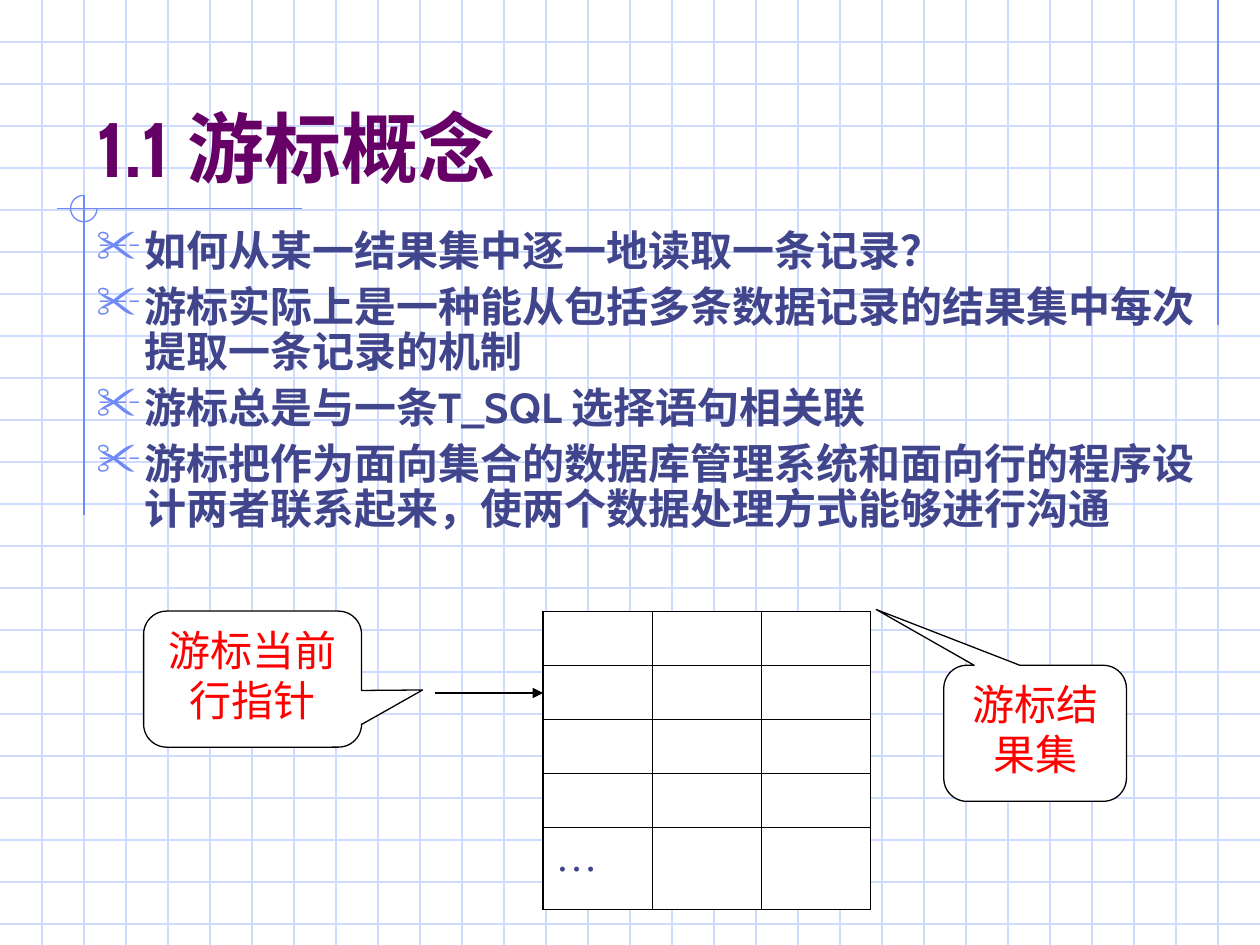
import pptx
import pptx.util
import pptx.dml.color
import pptx.enum.dml
import pptx.enum.lang
import pptx.enum.shapes
import pptx.enum.text
import pptx.oxml
import pptx.oxml.ns
from lxml import etree

RGB = pptx.dml.color.RGBColor
WHITE = RGB(0xFF, 0xFF, 0xFF)
BLACK = RGB(0x00, 0x00, 0x00)
PALE_BLUE = RGB(0xCF, 0xDB, 0xFD)
BLUE = RGB(0x6F, 0x89, 0xF7)
INDIGO = RGB(0x40, 0x45, 0x8C)
PURPLE = RGB(0x66, 0x00, 0x66)
RED = RGB(0xFF, 0x00, 0x00)

COLUMNS, ROWS = 30, 22.5
TITLE = dict(size=44, name="Cabin", bold=True, color=PURPLE)
BODY = dict(size=24, name="Cabin", bold=True, color=INDIGO)
CELL = dict(size=24, name="Times New Roman", color=INDIGO)
NOTE = dict(size=24, name="Times New Roman", color=RED)

POINTS = [
    "如何从某一结果集中逐一地读取一条记录？",
    "游标实际上是一种能从包括多条数据记录的结果集中每次提取一条记录的机制",
    "游标总是与一条T_SQL 选择语句相关联",
    "游标把作为面向集合的数据库管理系统和面向行的程序设计两者联系起来，使两个数据处理方式能够进行沟通",
]


class GridSlide:
    """Draws styled elements on a slide measured in columns and rows of a third of an inch."""

    def __init__(self, presentation):
        self.slide = presentation.slides.add_slide(presentation.slide_layouts[6])
        self.shapes = self.slide.shapes
        self.line_width = pptx.util.Pt(0.75)
        background = self.slide.background.fill
        background.solid()
        background.fore_color.rgb = WHITE

    def cells(self, *counts):
        return [pptx.util.Inches(count / 3) for count in counts]

    def child(self, parent, tag, **attributes):
        return etree.SubElement(parent, pptx.oxml.ns.qn(tag), attributes)

    def outline(self, line, color):
        line.color.rgb = color
        line.width = self.line_width

    def add_words(self, paragraph, text, style):
        run = paragraph.add_run()
        run.text = text
        values = dict(style, size=pptx.util.Pt(style["size"]),
                      language_id=pptx.enum.lang.MSO_LANGUAGE_ID.SIMPLIFIED_CHINESE)
        run.font.color.rgb = values.pop("color")
        for attribute, value in values.items():
            setattr(run.font, attribute, value)

    def line(self, start, end, color, arrow=False):
        connector = self.shapes.add_connector(
            pptx.enum.shapes.MSO_CONNECTOR.STRAIGHT, *self.cells(*start, *end))
        self.outline(connector.line, color)
        properties = connector._element.spPr
        if arrow:
            self.child(properties.find(pptx.oxml.ns.qn("a:ln")), "a:tailEnd", type="triangle")
        self.child(properties, "a:effectLst")

    def arc(self, box, color, end_angle):
        arc = self.shapes.add_shape(pptx.enum.shapes.MSO_SHAPE.ARC, *self.cells(*box))
        arc.adjustments[0] = 0
        arc.adjustments[1] = end_angle * 0.6
        arc.shadow.inherit = False
        arc.fill.background()
        self.outline(arc.line, color)

    def text(self, box, anchor):
        frame = self.shapes.add_textbox(*self.cells(*box)).text_frame
        frame.word_wrap = True
        frame.vertical_anchor = anchor
        return frame

    def title(self, box, text):
        frame = self.text(box, pptx.enum.text.MSO_ANCHOR.BOTTOM)
        self.add_words(frame.paragraphs[0], text, TITLE)

    def bullets(self, box, items):
        frame = self.text(box, pptx.enum.text.MSO_ANCHOR.TOP)
        for index, item in enumerate(items):
            paragraph = frame.add_paragraph() if index else frame.paragraphs[0]
            properties = paragraph._p.get_or_add_pPr()
            indent = pptx.util.Inches(0.38)
            properties.set("marL", str(indent))
            properties.set("indent", str(-indent))
            self.child(self.child(properties, "a:buClr"), "a:srgbClr", val=str(BLUE))
            self.child(properties, "a:buSzPct", val="110000")
            self.child(properties, "a:buChar", char="✂")
            paragraph.line_spacing = 0.9
            paragraph.space_before = pptx.util.Pt(6 if index else 0)
            self.add_words(paragraph, item, BODY)

    def table(self, corner, column_width, row_heights, values):
        columns = len(values[0])
        size = column_width * columns, sum(row_heights)
        table = self.shapes.add_table(
            len(values), columns, *self.cells(*corner, *size)).table
        table.first_row = table.horz_banding = False
        for column in table.columns:
            column.width, = self.cells(column_width)
        for row, height, texts in zip(table.rows, row_heights, values):
            row.height, = self.cells(height)
            for cell, text in zip(row.cells, texts):
                self.cell(cell, text)

    def cell(self, cell, text):
        properties = cell._tc.get_or_add_tcPr()
        for side in ("a:lnL", "a:lnR", "a:lnT", "a:lnB"):
            border = self.child(properties, side, w=str(self.line_width))
            self.child(self.child(border, "a:solidFill"), "a:srgbClr", val=str(BLACK))
        cell.fill.solid()
        cell.fill.fore_color.rgb = WHITE
        if text:
            self.add_words(cell.text_frame.paragraphs[0], text, CELL)

    def callout(self, box, pointer, text):
        callout = self.shapes.add_shape(
            pptx.enum.shapes.MSO_SHAPE.ROUNDED_RECTANGULAR_CALLOUT, *self.cells(*box))
        for index, value in enumerate(pointer):
            callout.adjustments[index] = value
        callout.shadow.inherit = False
        callout.fill.solid()
        callout.fill.fore_color.rgb = WHITE
        self.outline(callout.line, BLACK)
        frame = callout.text_frame
        frame.word_wrap = True
        frame.vertical_anchor = pptx.enum.text.MSO_ANCHOR.TOP
        frame.paragraphs[0].alignment = pptx.enum.text.PP_ALIGN.CENTER
        self.add_words(frame.paragraphs[0], text, NOTE)


def main():
    presentation = pptx.Presentation()
    presentation.slide_width = pptx.util.Inches(COLUMNS / 3)
    presentation.slide_height = pptx.util.Inches(ROWS / 3)
    page = GridSlide(presentation)

    for row in range(1, 23):
        page.line((0, row), (COLUMNS, row), PALE_BLUE)
    for column in range(1, COLUMNS):
        page.line((column, 0), (column, ROWS), PALE_BLUE)
    page.line((29, 0), (29, 7.74), BLUE)
    page.line((7.2, 4.97), (1.35, 4.97), BLUE)
    page.line((2, 4.65), (2, 12.27), BLUE)
    page.arc((1.68, 4.65, 0.63, 0.63), BLUE, end_angle=270)

    page.title((2, 1, 25.5, 3.75), "1.1 游标概念")
    page.bullets((2, 5.34, 26.94, 8.52), POINTS)

    records = [[""] * 3 for _ in range(4)] + [["…", "", ""]]
    page.table((12.93, 14.55), 2.6, [1.29] * 4 + [1.95], records)
    page.line((10.35, 16.5), (12.93, 16.5), BLACK, arrow=True)
    page.callout((3.42, 14.55, 5.19, 3.24), (0.78, 0.08, 0.17), "游标当前行指针")
    page.callout((22.47, 15.84, 4.35, 3.24), (-0.87, -0.91, 0.17), "游标结果集")
    presentation.save("out.pptx")


if __name__ == "__main__":
    main()
